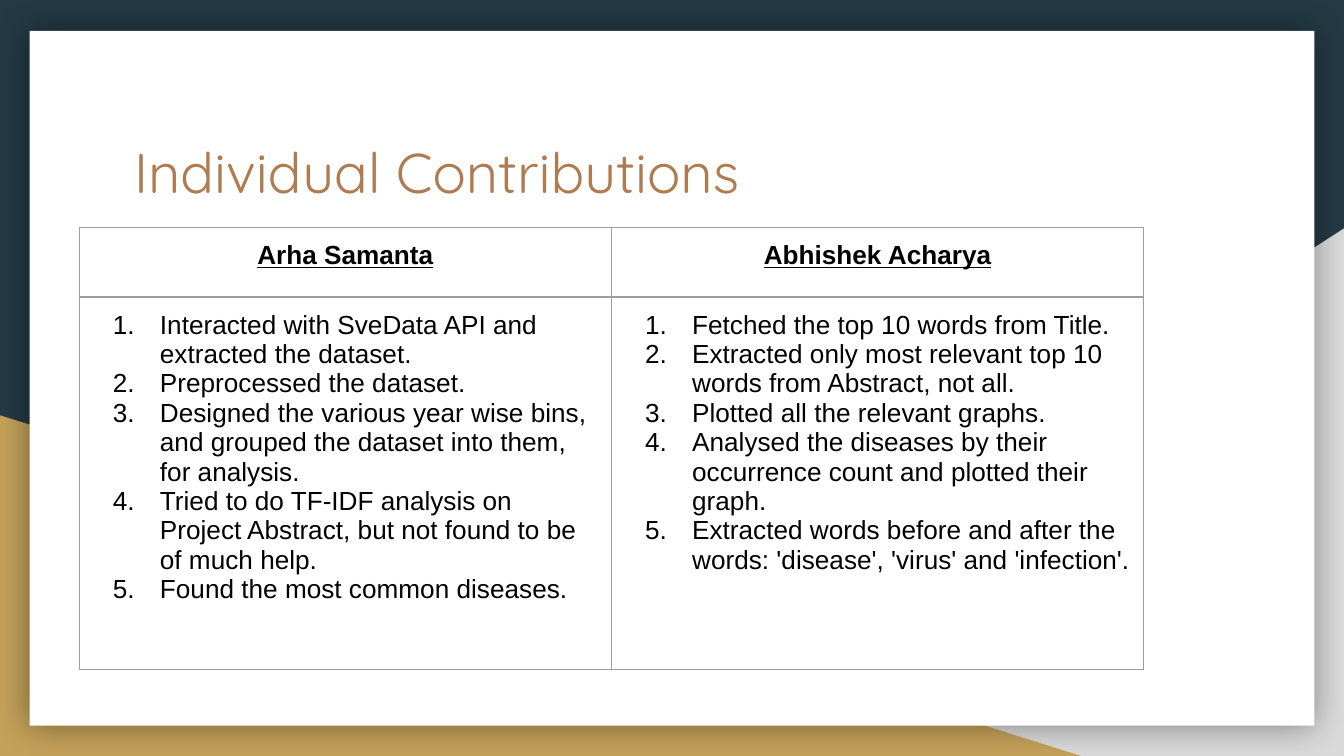
"""Build the individual contributions slide."""
from lxml.etree import SubElement
from pptx import Presentation
from pptx.dml.color import RGBColor
from pptx.enum.shapes import MSO_SHAPE
from pptx.enum.text import PP_ALIGN
from pptx.oxml.ns import qn
from pptx.util import Inches, Pt

TITLE = "Individual Contributions"
CONTRIBUTIONS = {
    "Arha Samanta": [
        "Interacted with SveData API and extracted the dataset.",
        "Preprocessed the dataset.",
        "Designed the various year wise bins, and grouped the dataset into them, for analysis.",
        "Tried to do TF-IDF analysis on Project Abstract, but not found to be of much help.",
        "Found the most common diseases.",
    ],
    "Abhishek Acharya": [
        "Fetched the top 10 words from Title.",
        "Extracted only most relevant top 10 words from Abstract, not all.",
        "Plotted all the relevant graphs.",
        "Analysed the diseases by their occurrence count and plotted their graph.",
        "Extracted words before and after the words: 'disease', 'virus' and 'infection'.",
    ],
}
COL_WIDTH = 3.96
ROW_HEIGHTS = (0.52, 2.77)


def color(value):
    return RGBColor.from_string(value)


def add_panel(s, kind, box, fill):
    sp = s.shapes.add_shape(kind, *map(Inches, box))
    sp.shadow.inherit = False
    sp.fill.solid()
    sp.fill.fore_color.rgb = color(fill)
    sp.line.fill.background()
    return sp


def add_glow_shadow(sp, value, opacity, blur):
    effects = sp._element.spPr.find(qn("a:effectLst"))
    shadow = SubElement(effects, qn("a:outerShdw"), blurRad=str(Pt(blur)),
                        dist="0", dir="0", algn="ctr", rotWithShape="0")
    clr = SubElement(shadow, qn("a:srgbClr"), val=value)
    SubElement(clr, qn("a:alpha"), val=str(opacity * 1000))


def format_text(p, font, size, value, bold=False, underline=False):
    for r in p.runs:
        r.font.name = font
        r.font.size = Pt(size)
        r.font.color.rgb = color(value)
        r.font.bold = bold
        r.font.underline = underline


def number_paragraph(p):
    pPr = p._p.get_or_add_pPr()
    pPr.set("marL", str(Inches(0.5)))
    pPr.set("indent", str(Inches(-0.35)))
    clr = SubElement(pPr, qn("a:buClr"))
    SubElement(clr, qn("a:srgbClr"), val="000000")
    SubElement(pPr, qn("a:buFont"), typeface="Arial")
    SubElement(pPr, qn("a:buAutoNum"), type="arabicPeriod")


def set_margins(box):
    box.margin_left = box.margin_right = Inches(0.1)
    box.margin_top = box.margin_bottom = Inches(0.1)


def style_cell(cell):
    set_margins(cell)
    tcPr = cell._tc.get_or_add_tcPr()
    for side in ("lnL", "lnR", "lnT", "lnB"):
        ln = SubElement(tcPr, qn(f"a:{side}"), w=str(Pt(0.75)))
        fill = SubElement(ln, qn("a:solidFill"))
        SubElement(fill, qn("a:srgbClr"), val="9E9E9E")
    cell.fill.background()


def add_title(s):
    tf = s.shapes.add_textbox(*map(Inches, (0.9, 0.92, 8.21, 1.04))).text_frame
    tf.word_wrap = True
    set_margins(tf)
    tf.text = TITLE
    format_text(tf.paragraphs[0], "Quicksand", 30, "AF7B51")


def add_contributions(s):
    cols = len(CONTRIBUTIONS)
    table = s.shapes.add_table(
        len(ROW_HEIGHTS), cols, Inches(0.59), Inches(1.69),
        Inches(COL_WIDTH * cols), Inches(sum(ROW_HEIGHTS))).table
    table.first_row = table.horz_banding = False
    for row, height in zip(table.rows, ROW_HEIGHTS):
        row.height = Inches(height)
    for col, (person, tasks) in enumerate(CONTRIBUTIONS.items()):
        table.columns[col].width = Inches(COL_WIDTH)
        header, body = table.cell(0, col), table.cell(1, col)
        style_cell(header)
        style_cell(body)
        header.text_frame.text = person
        p = header.text_frame.paragraphs[0]
        p.alignment = PP_ALIGN.CENTER
        format_text(p, "Arial", 14, "000000", bold=True, underline=True)
        body.text_frame.text = "\n".join(tasks)
        for p in body.text_frame.paragraphs:
            number_paragraph(p)
            format_text(p, "Arial", 14, "000000")


def main():
    prs = Presentation()
    prs.slide_width = Inches(10)
    prs.slide_height = Inches(10 * 9 / 16)
    s = prs.slides.add_slide(prs.slide_layouts[6])
    s.background.fill.solid()
    s.background.fill.fore_color.rgb = color("233A44")

    gray = add_panel(s, MSO_SHAPE.RIGHT_TRIANGLE, (3.92, 1.7, 6.08, 3.93), "D9D9D9")
    gray._element.spPr.find(qn("a:xfrm")).set("flipH", "1")
    add_panel(s, MSO_SHAPE.RIGHT_TRIANGLE, (0, 3.09, 8.06, 2.54), "C4A15A")
    card = add_panel(s, MSO_SHAPE.RECTANGLE, (0.22, 0.23, 9.56, 5.17), "FFFFFF")
    add_glow_shadow(card, "000000", 40, 18)

    add_title(s)
    add_contributions(s)
    prs.save("out.pptx")


if __name__ == "__main__":
    main()
